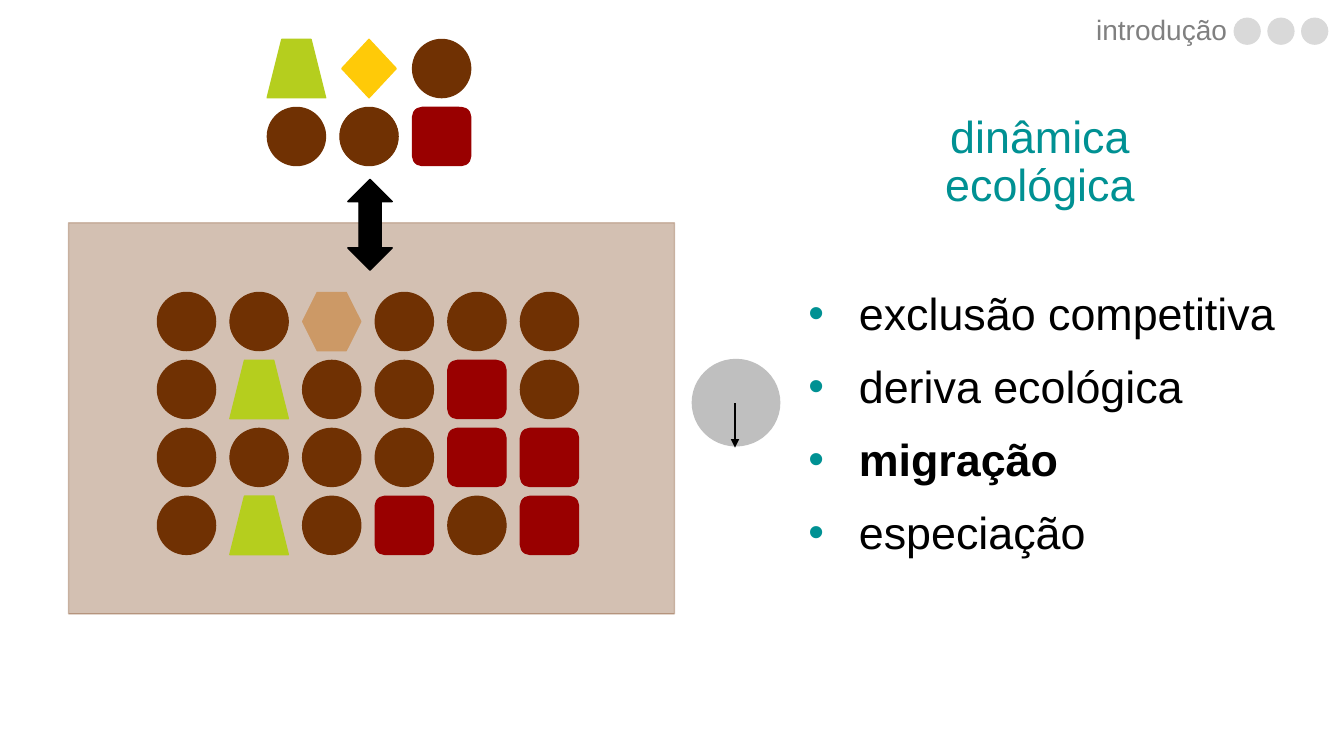
from lxml import etree
from pptx import Presentation
from pptx.dml.color import RGBColor
from pptx.enum import shapes, text
from pptx.oxml import ns
from pptx.util import Inches, Pt

COLORS = {
    "brown": "703103", "red": "990000", "green": "B5CE1E", "yellow": "FFCA08",
    "tan": "CC9966", "teal": "009193", "black": "000000", "label": "808080",
    "dot": "D9D9D9", "clock": "BFBFBF",
}
KIND = shapes.MSO_SHAPE
ALIGN = text.PP_ALIGN
ANCHOR = text.MSO_ANCHOR

# letter: preset shape, colour, line width, width
SPECIES = {
    "o": (KIND.OVAL, "brown", 0, 0.58),
    "s": (KIND.ROUNDED_RECTANGLE, "red", 0, 0.58),
    "t": (KIND.TRAPEZOID, "green", 1, 0.58),
    "d": (KIND.DIAMOND, "yellow", 1, 0.54),
    "h": (KIND.HEXAGON, "tan", 0, 0.58),
}
CELL, COLUMN_STEP, ROW_STEP = 0.58, 0.72, 0.674
REGIONAL_POOL = ["tdo", "oos"]
LOCAL_COMMUNITY = ["oohooo", "otooso", "ooooss", "otosos"]
PROCESSES = ["exclusão competitiva", "deriva ecológica", "migração", "especiação"]


def color(name):
    return RGBColor.from_string(COLORS[name])


def add_element(parent, tag, **attributes):
    return etree.SubElement(parent, ns.qn(tag), attributes)


def add_text(paragraph, words, size=32, tint="black", bold=False,
             align=ALIGN.LEFT, spacing=0.9, after=0):
    paragraph.alignment = align
    paragraph.line_spacing = spacing
    paragraph.space_before = Pt(0)
    paragraph.space_after = Pt(after)
    span = paragraph.add_run()
    span.text = words
    span.font.name = "Arial"
    span.font.size = Pt(size)
    span.font.bold = bold
    span.font.color.rgb = color(tint)


def add_bullet(paragraph, tint):
    properties = paragraph._p.get_or_add_pPr()
    properties.set("marL", str(Inches(0.5)))
    properties.set("indent", str(-Inches(0.5)))
    bullet_color = add_element(properties, "a:buClr")
    add_element(bullet_color, "a:srgbClr", val=COLORS[tint])
    add_element(properties, "a:buFont", typeface="Arial")
    add_element(properties, "a:buChar", char="•")


class SlideBuilder:
    def __init__(self, deck):
        self.page = deck.slides.add_slide(deck.slide_layouts[5])

    def frame(self, box, anchor):
        frame = box.text_frame
        frame.word_wrap = True
        frame.auto_size = text.MSO_AUTO_SIZE.NONE
        frame.vertical_anchor = anchor
        return frame

    def title(self, words, left, top, width, height):
        box = self.page.shapes.title
        box.left, box.top = Inches(left), Inches(top)
        box.width, box.height = Inches(width), Inches(height)
        frame = self.frame(box, ANCHOR.MIDDLE)
        add_text(frame.paragraphs[0], words, tint="teal", align=ALIGN.CENTER)

    def textbox(self, left, top, width, height, anchor=ANCHOR.TOP):
        box = self.page.shapes.add_textbox(
            Inches(left), Inches(top), Inches(width), Inches(height))
        return self.frame(box, anchor)

    def bullets(self, items, highlighted, *place):
        frame = self.textbox(*place)
        for index, item in enumerate(items):
            paragraph = frame.add_paragraph() if index else frame.paragraphs[0]
            add_bullet(paragraph, "teal")
            add_text(paragraph, item, bold=item == highlighted, spacing=1.2, after=6)

    def shape(self, kind, tint, left, top, width, height, line=None, opacity=None):
        """Draw a filled preset shape; opacity is a percentage for fill and line."""
        shape = self.page.shapes.add_shape(
            kind, Inches(left), Inches(top), Inches(width), Inches(height))
        shape.shadow.inherit = False
        shape.fill.solid()
        shape.fill.fore_color.rgb = color(tint)
        if line is None:
            shape.line.fill.background()
        else:
            shape.line.color.rgb = color(tint)
            shape.line.width = Pt(line)
        if opacity:
            for tone in shape._element.spPr.iter(ns.qn("a:srgbClr")):
                add_element(tone, "a:alpha", val=str(opacity * 1000))
        return shape

    def arrow(self, x1, y1, x2, y2):
        line = self.page.shapes.add_connector(
            shapes.MSO_CONNECTOR.STRAIGHT, Inches(x1), Inches(y1), Inches(x2), Inches(y2))
        line.line.color.rgb = color("black")
        line.line.width = Pt(1.5)
        add_element(line.line._get_or_add_ln(), "a:tailEnd", type="triangle")
        add_element(line._element.spPr, "a:effectLst")

    def individuals(self, rows, left, top):
        """Draw a grid of individuals, one letter of SPECIES per cell."""
        for row, letters in enumerate(rows):
            for column, letter in enumerate(letters):
                kind, tint, line, width = SPECIES[letter]
                x = left + column * COLUMN_STEP + (CELL - width) / 2
                self.shape(kind, tint, x, top + row * ROW_STEP, width, CELL, line)


def main():
    deck = Presentation()
    deck.slide_width, deck.slide_height = Inches(13.33), Inches(7.5)
    slide = SlideBuilder(deck)

    slide.title("dinâmica ecológica", 8.7, 0.89, 3.23, 1.45)
    slide.shape(KIND.RECTANGLE, "brown", 0.68, 2.21, 6.01, 3.88, line=1, opacity=30)

    section = slide.textbox(9.85, 0.08, 2.42, 0.47, ANCHOR.MIDDLE)
    add_text(section.paragraphs[0], "introdução", size=20, tint="label", align=ALIGN.RIGHT)
    for step in range(3):
        slide.shape(KIND.OVAL, "dot", 12.24 + step * 0.335, 0.18, 0.26, 0.26, line=0)

    slide.bullets(PROCESSES, "migração", 7.92, 2.68, 5.25, 3.74)
    slide.individuals(LOCAL_COMMUNITY, 1.56, 2.9)
    slide.individuals(REGIONAL_POOL, 2.65, 0.39)

    exchange = slide.shape(KIND.LEFT_RIGHT_ARROW, "black", 3.22, 2.01, 0.9, 0.44, line=1)
    exchange.rotation = 90
    slide.shape(KIND.OVAL, "clock", 6.86, 3.56, 0.88, 0.87)
    slide.arrow(7.29, 4, 7.29, 4.44)

    deck.save("out.pptx")


if __name__ == "__main__":
    main()
